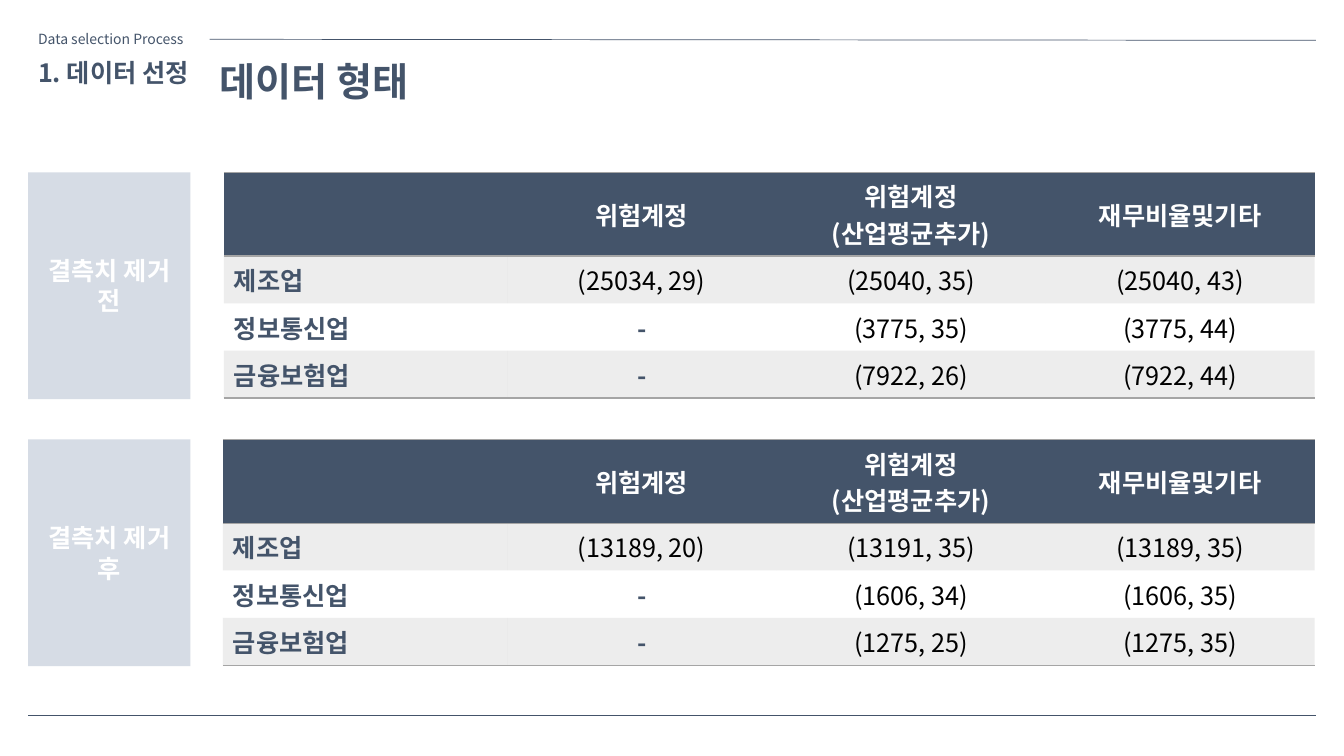
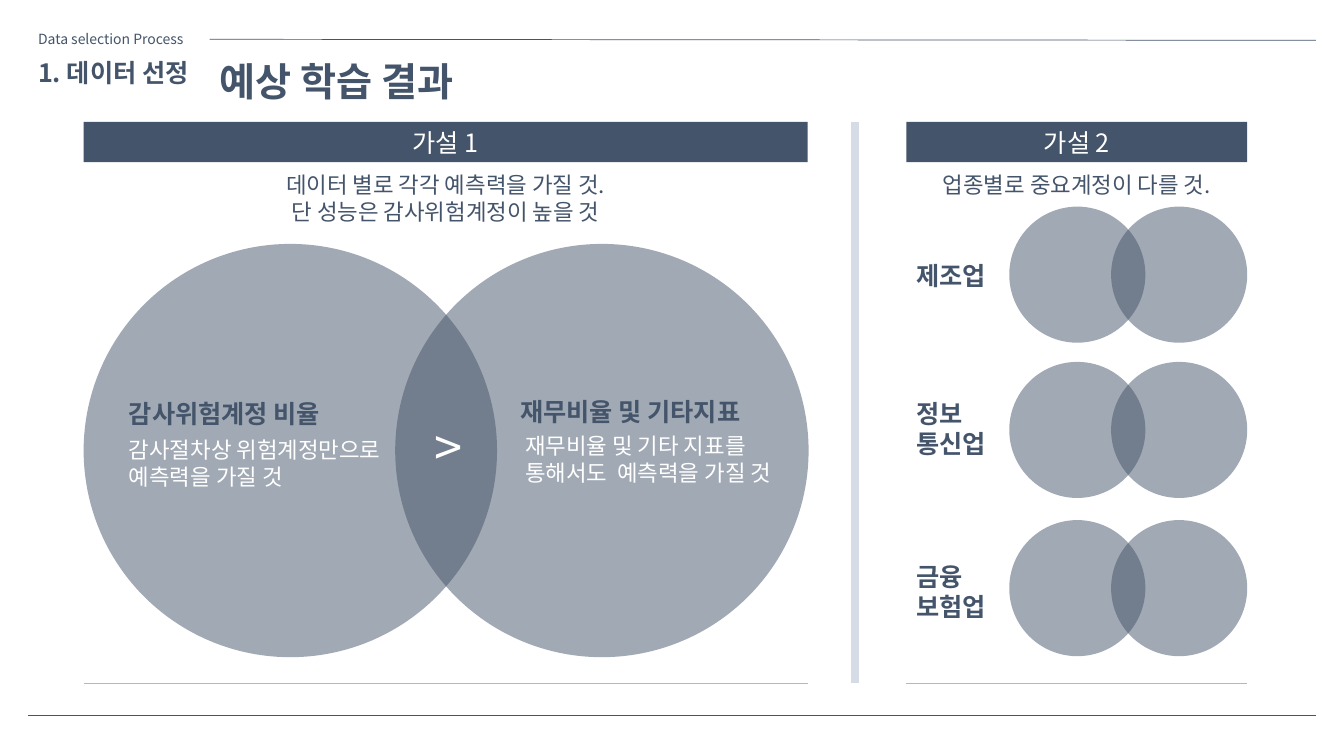
"""Build two slides on the data shapes and the expected learning results."""
from lxml.etree import SubElement
from pptx import Presentation
from pptx.dml.color import RGBColor
from pptx.enum.shapes import MSO_CONNECTOR, MSO_SHAPE
from pptx.enum.text import MSO_ANCHOR as ANCHOR, MSO_AUTO_SIZE, PP_ALIGN as ALIGN
from pptx.oxml import parse_xml
from pptx.oxml.ns import nsdecls, qn
from pptx.util import Inches, Pt

FONT = "Noto Sans CJK KR"
NAVY, PALE, RULE, GRAY = "44546A", "D6DCE5", "ADB9CA", "A5A5A5"
WHITE, BLACK = "FFFFFF", "000000"
NO_TABLE_STYLE = "{2D5ABB26-0587-4C30-8999-92F81FD0307C}"


def paint(fill, color, alpha=None):
    fill.solid()
    fill.fore_color.rgb = RGBColor.from_string(color)
    if alpha is not None:
        rgb = fill._xPr.find(qn("a:solidFill")).find(qn("a:srgbClr"))
        SubElement(rgb, qn("a:alpha")).set("val", str(alpha * 1000))


def write(frame, text, size=18, color=NAVY, bold=False, align=ALIGN.LEFT,
          anchor=ANCHOR.TOP, pitch=1.2):
    frame.text = text
    frame.word_wrap = True
    frame.vertical_anchor = anchor
    for paragraph in frame.paragraphs:
        paragraph.alignment = align
        paragraph.line_spacing = Pt(round(size * pitch, 1))
        paragraph.space_before = Pt(0)
        for run in paragraph.runs:
            run.font.size, run.font.bold, run.font.name = Pt(size), bold, FONT
            paint(run.font.fill, color)
            SubElement(run.font._element, qn("a:ea")).set("typeface", FONT)


deck = Presentation()
deck.slide_width, deck.slide_height = Inches(13.33), Inches(7.5)

rules = [
    [],
    [
        (8.48, 1.21, 8.48, 6.78, PALE, 6),
        (0.83, 6.78, 8.01, 6.78, RULE, 0.5),
        (8.99, 6.78, 12.37, 6.78, RULE, 0.5),
    ],
]
shared_rules = [
    (2.08, 0.39, 13.05, 0.4, NAVY, 0.5),
    (0.28, 7.1, 13.05, 7.1, NAVY, 0.5),
]
slides = []
for heading, own_rules in zip(("데이터 형태", "예상 학습 결과"), rules):
    slide = deck.slides.add_slide(deck.slide_layouts[5])
    slides.append(slide)
    title = slide.shapes.title
    title.left, title.top = Inches(2.08), Inches(0.52)
    title.width, title.height = Inches(4.93), Inches(0.57)
    title.text_frame.auto_size = MSO_AUTO_SIZE.NONE
    write(title.text_frame, heading, size=28, bold=True)
    for top, height, label, size, bold in (
        (0.25, 0.27, "Data selection Process", 10, False),
        (0.52, 0.4, "1. 데이터 선정", 18, True),
    ):
        section = slide.shapes.add_textbox(
            Inches(0.28), Inches(top), Inches(1.8), Inches(height))
        write(section.text_frame, label, size=size, bold=bold)
    for x1, y1, x2, y2, color, weight in shared_rules + own_rules:
        rule = slide.shapes.add_connector(
            MSO_CONNECTOR.STRAIGHT, Inches(x1), Inches(y1), Inches(x2), Inches(y2))
        paint(rule.line.fill, color)
        rule.line.width = Pt(weight)
        SubElement(rule._element.spPr, qn("a:effectLst"))

data_slide, result_slide = slides

header = ("", "위험계정", "위험계정\v(산업평균추가)", "재무비율및기타")
stages = [
    ("결측치 제거 전", 2.22, 1.71, [
        ("제조업", "(25034, 29)", "(25040, 35)", "(25040, 43)"),
        ("정보통신업", "-", "(3775, 35)", "(3775, 44)"),
        ("금융보험업", "-", "(7922, 26)", "(7922, 44)"),
    ]),
    ("결측치 제거 후", 2.21, 4.36, [
        ("제조업", "(13189, 20)", "(13191, 35)", "(13189, 35)"),
        ("정보통신업", "-", "(1606, 34)", "(1606, 35)"),
        ("금융보험업", "-", "(1275, 25)", "(1275, 35)"),
    ]),
]
for stage, left, top, industries in stages:
    badge = data_slide.shapes.add_shape(
        MSO_SHAPE.RECTANGLE, Inches(0.28), Inches(top), Inches(1.61), Inches(2.25))
    badge.shadow.inherit = False
    paint(badge.fill, PALE)
    badge.line.fill.background()
    write(badge.text_frame, stage, color=WHITE, bold=True,
          align=ALIGN.CENTER, anchor=ANCHOR.MIDDLE)

    table = data_slide.shapes.add_table(
        4, 4, Inches(left), Inches(top), Inches(13.04 - left), Inches(2.25)).table
    table.first_row = table.horz_banding = False
    table._tbl.tblPr.find(qn("a:tableStyleId")).text = NO_TABLE_STYLE
    for column, width in zip(table.columns, (5.03 - left, 2.67, 2.67, 2.67)):
        column.width = Inches(width)
    for row, height in zip(table.rows, (0.83, 0.47, 0.47, 0.47)):
        row.height = Inches(height)
    for r, values in enumerate([header] + industries):
        for c, value in enumerate(values):
            cell = table.cell(r, c)
            cell.vertical_anchor = ANCHOR.MIDDLE
            is_label = r == 0 or c == 0 or value == "-"
            color = WHITE if r == 0 else NAVY if is_label else BLACK
            write(cell.text_frame, value, color=color, bold=is_label, pitch=1.45,
                  align=ALIGN.LEFT if c == 0 else ALIGN.CENTER,
                  anchor=None)
            if r == 0:
                paint(cell.fill, NAVY)
            elif r == 2:
                cell.fill.background()
            else:
                paint(cell.fill, GRAY, alpha=20)
            edges = {0: ("lnT", "lnB"), 3: ("lnB",)}.get(r, ())
            for position, edge in enumerate(edges):
                cell._tc.tcPr.insert(position, parse_xml(
                    f'<a:{edge} {nsdecls("a")} w="12700"><a:solidFill>'
                    f'<a:srgbClr val="{GRAY}"/></a:solidFill></a:{edge}>'))

for hypothesis, left, width in (("가설 1", 0.83, 7.18), ("가설 2", 8.99, 3.38)):
    band = result_slide.shapes.add_shape(
        MSO_SHAPE.RECTANGLE, Inches(left), Inches(1.21), Inches(width), Inches(0.4))
    band.shadow.inherit = False
    paint(band.fill, NAVY)
    band.line.fill.background()
    write(band.text_frame, hypothesis, color=WHITE,
          align=ALIGN.CENTER, anchor=ANCHOR.MIDDLE)

venn_pairs = [(0.83, 3.92, 2.42, 4.1)]
venn_pairs += [(10.01, 11.02, top, 1.35) for top in (2.05, 3.59, 5.16)]
for first_left, second_left, top, diameter in venn_pairs:
    for left in (first_left, second_left):
        circle = result_slide.shapes.add_shape(
            MSO_SHAPE.OVAL, Inches(left), Inches(top), Inches(diameter), Inches(diameter))
        circle.shadow.inherit = False
        paint(circle.fill, NAVY, alpha=50)
        circle.line.fill.background()

claim = dict(size=16, align=ALIGN.CENTER)
detail = dict(size=16, color=WHITE)
label = dict(bold=True)
notes = [
    (2.68, 1.65, 3.48, 0.64, "데이터 별로 각각 예측력을 가질 것.\v단 성능은 감사위험계정이 높을 것", claim),
    (8.99, 1.65, 3.38, 0.37, "업종별로 중요계정이 다를 것.", claim),
    (1.18, 3.9, 2.48, 0.4, "감사위험계정 비율", label),
    (1.18, 4.28, 2.73, 0.64, "감사절차상 위험계정만으로\v예측력을 가질 것", detail),
    (5.06, 3.88, 2.62, 0.4, "재무비율 및 기타지표", label),
    (5.11, 4.24, 2.73, 0.64, "재무비율 및 기타 지표를\v통해서도  예측력을 가질 것", detail),
    (4.21, 4.08, 0.4, 0.71, ">", dict(size=36, color=WHITE, align=ALIGN.CENTER)),
    (8.99, 2.53, 0.93, 0.4, "제조업", label),
    (8.99, 3.9, 0.93, 0.71, "정보\n통신업", label),
    (8.99, 5.52, 0.93, 0.71, "금융\n보험업", label),
]
for left, top, width, height, text, style in notes:
    note = result_slide.shapes.add_textbox(
        Inches(left), Inches(top), Inches(width), Inches(height))
    write(note.text_frame, text, **style)

deck.save("out.pptx")
